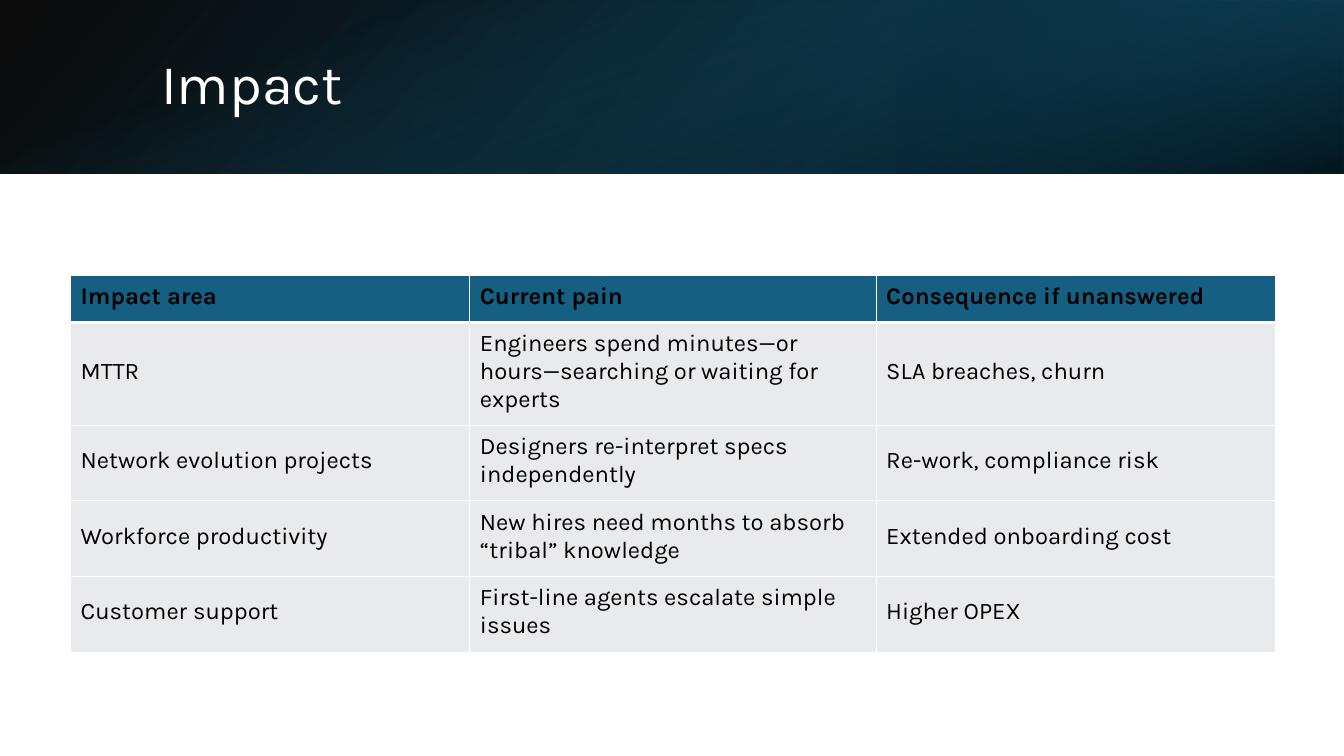
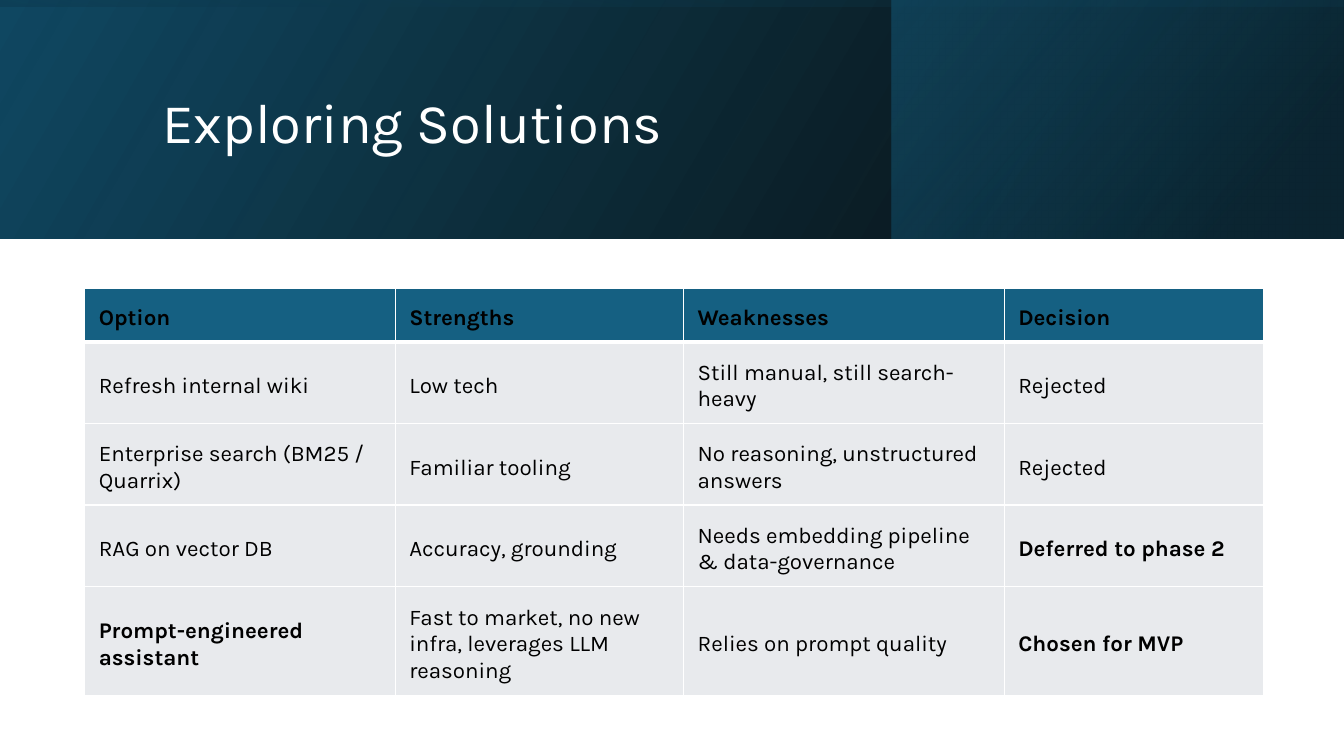
from lxml import etree
from pptx import Presentation
from pptx.dml.color import RGBColor
from pptx.enum import shapes, text
from pptx.oxml.ns import qn
from pptx.util import Inches, Pt

FONT = "Karla"
WHITE, BLACK = "FFFFFF", "000000"
HEADER, BODY = "156082", "E8EAED"
NAVY, DEEP = "104862", "0B3041"
WIDTH = 13.33


def color(value):
    return RGBColor.from_string(value)


def style_text(frame, words, size, ink, bold=False):
    """Write one run in the deck's font, vertically centred."""
    frame.vertical_anchor = text.MSO_ANCHOR.MIDDLE
    para = frame.paragraphs[0]
    para.alignment = text.PP_ALIGN.LEFT
    span = para.add_run()
    span.text = words
    span.font.name = FONT
    span.font.size = Pt(size)
    span.font.bold = bold
    span.font.color.rgb = color(ink)
    return para


# Each band layer: place, rotation, flip, angle, stops (position, colour, opacity)
# Margins run left, top, right, bottom
pages = [
    {
        "title": "Impact",
        "title_at": (1.5, 0.38, 10.98, 0.96),
        "band": [
            ((0, 0, WIDTH, 1.72), 0, True, 140, [(0, BLACK, 96), (100, NAVY, 100)]),
            ((8.89, 0, 4.44, 1.72), 180, True, 320, [(19, DEEP, 68), (100, HEADER, 79)]),
            ((5.8, -5.8, 1.72, WIDTH), 90, False, 340, [(23, HEADER, 0), (99, BLACK, 74)]),
        ],
        "table_at": (0.7, 2.73),
        "columns": [3.96, 4.03, 3.96],
        "rows": [0.47, 1.02, 0.75, 0.75, 0.75],
        "margins": (0.1, 0.05, 0.1, 0.1),
        "size": 17,
        "strong": [],
        "cells": [
            ["Impact area", "Current pain", "Consequence if unanswered"],
            ["MTTR", "Engineers spend minutes—or hours—searching or waiting for experts",
             "SLA breaches, churn"],
            ["Network evolution projects", "Designers re-interpret specs independently",
             "Re-work, compliance risk"],
            ["Workforce productivity", "New hires need months to absorb “tribal” knowledge",
             "Extended onboarding cost"],
            ["Customer support", "First-line agents escalate simple issues", "Higher OPEX"],
        ],
    },
    {
        "title": "Exploring Solutions",
        "title_at": (1.51, 0.38, 10.63, 1.72),
        "band": [
            ((0, 0, WIDTH, 2.37), 0, True, 330, [(0, BLACK, 96), (100, NAVY, 100)]),
            ((8.84, 0, 4.48, 2.37), 0, True, 320, [(19, DEEP, 68), (100, HEADER, 48)]),
            ((5.48, -5.48, 2.37, WIDTH), 270, True, 350, [(23, NAVY, 16), (99, BLACK, 45)]),
        ],
        "table_at": (0.84, 2.86),
        "columns": [3.08, 2.86, 3.18, 2.57],
        "rows": [0.53, 0.81, 0.81, 0.81, 1.08],
        "margins": (0.14, 0.14, 0.14, 0.07),
        "size": 16,
        "strong": ["Deferred to phase 2", "Prompt-engineered assistant", "Chosen for MVP"],
        "cells": [
            ["Option", "Strengths", "Weaknesses", "Decision"],
            ["Refresh internal wiki", "Low tech", "Still manual, still search-heavy", "Rejected"],
            ["Enterprise search (BM25 / Quarrix)", "Familiar tooling",
             "No reasoning, unstructured answers", "Rejected"],
            ["RAG on vector DB", "Accuracy, grounding",
             "Needs embedding pipeline & data-governance", "Deferred to phase 2"],
            ["Prompt-engineered assistant",
             "Fast to market, no new infra, leverages LLM reasoning",
             "Relies on prompt quality", "Chosen for MVP"],
        ],
    },
]

deck = Presentation()
deck.slide_width, deck.slide_height = Inches(WIDTH), Inches(7.5)

for content in pages:
    page = deck.slides.add_slide(deck.slide_layouts.get_by_name("Title Only"))

    # Gradient band
    for place, rotation, flipped, angle, stops in content["band"]:
        box = page.shapes.add_shape(
            shapes.MSO_SHAPE.RECTANGLE, *[Inches(length) for length in place])
        box.shadow.inherit = False
        box.line.fill.background()
        box.rotation = rotation
        if flipped:
            box._element.spPr.find(qn("a:xfrm")).set("flipH", "1")
        box.fill.gradient()
        box.fill.gradient_angle = 360 - angle
        for stop, (position, shade, opacity) in zip(box.fill.gradient_stops, stops):
            stop.position = position / 100
            stop.color.rgb = color(shade)
        for tint, (_, _, opacity) in zip(box._element.spPr.iter(qn("a:srgbClr")), stops):
            etree.SubElement(tint, qn("a:alpha")).set("val", str(opacity * 1000))

    # Title, brought in front of the band
    title = page.shapes.title
    title.left, title.top, title.width, title.height = [
        Inches(length) for length in content["title_at"]]
    style_text(title.text_frame, content["title"], 40, WHITE).line_spacing = 0.9
    page.shapes._spTree.append(title._element)

    # Table
    columns, rows = content["columns"], content["rows"]
    left, top = content["table_at"]
    table = page.shapes.add_table(
        len(rows), len(columns), Inches(left), Inches(top),
        Inches(sum(columns)), Inches(sum(rows))).table
    table.horz_banding = False
    for column, width in zip(table.columns, columns):
        column.width = Inches(width)
    for row, height in zip(table.rows, rows):
        row.height = Inches(height)

    for r, line in enumerate(content["cells"]):
        for c, words in enumerate(line):
            cell = table.cell(r, c)
            cell.margin_left, cell.margin_top, cell.margin_right, cell.margin_bottom = [
                Inches(margin) for margin in content["margins"]]
            cell.vertical_anchor = text.MSO_ANCHOR.MIDDLE
            style_text(cell.text_frame, words, content["size"], BLACK,
                       r == 0 or words in content["strong"])
            cell.fill.solid()
            cell.fill.fore_color.rgb = color(HEADER if r == 0 else BODY)

            # White borders, heavier between the header and the body
            for index, side in enumerate(["lnL", "lnR", "lnT", "lnB"]):
                heavy = (r, side) in [(0, "lnB"), (1, "lnT")]
                border = etree.Element(qn(f"a:{side}"), w=str(Pt(3 if heavy else 1)))
                paint = etree.SubElement(border, qn("a:solidFill"))
                etree.SubElement(paint, qn("a:srgbClr")).set("val", WHITE)
                cell._tc.tcPr.insert(index, border)

deck.save("out.pptx")
